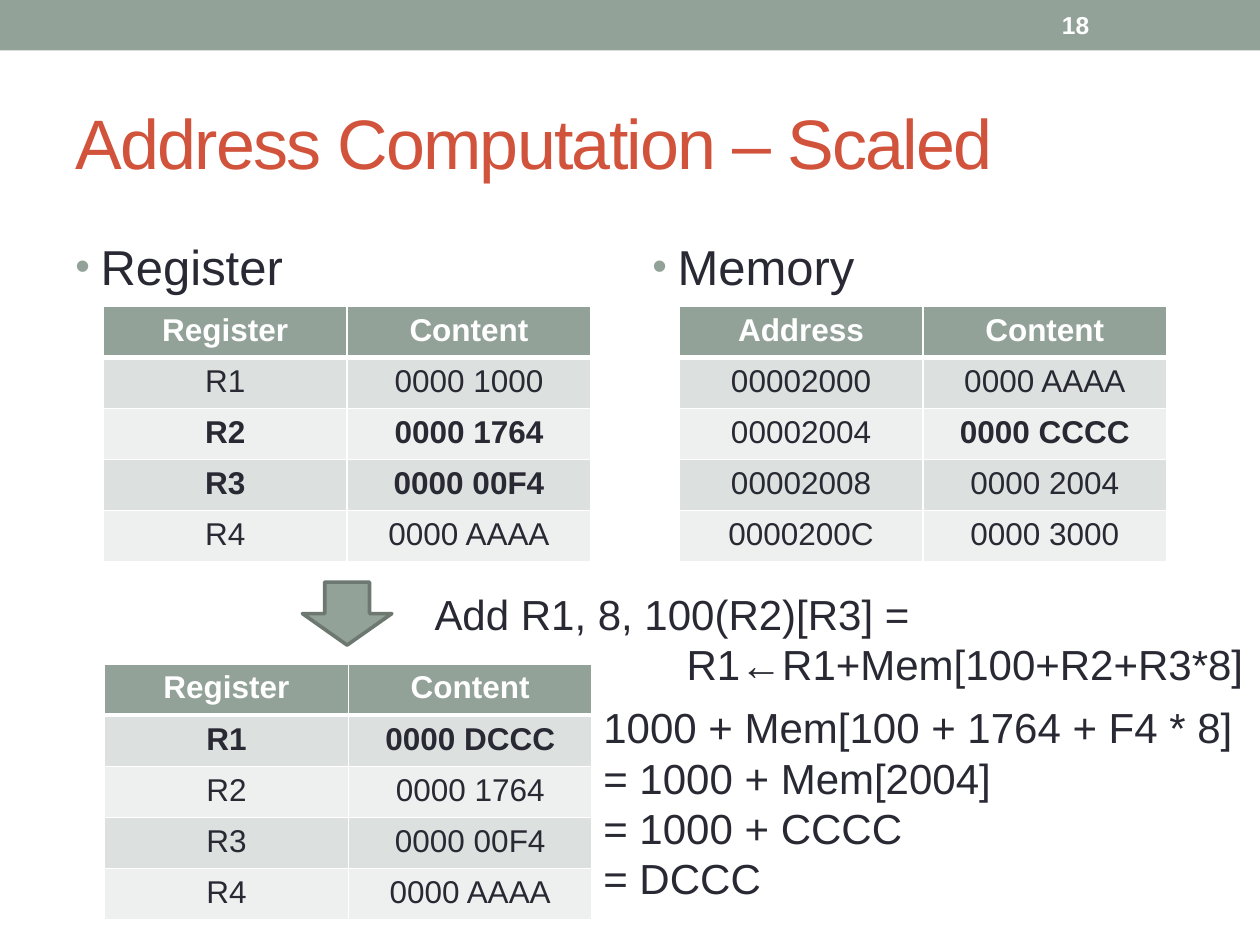
from dataclasses import dataclass

from lxml import etree
from pptx import Presentation
from pptx.dml.color import RGBColor
from pptx.enum.shapes import MSO_SHAPE
from pptx.enum.text import MSO_ANCHOR, PP_ALIGN
from pptx.oxml.ns import qn
from pptx.util import Inches, Pt

RECTANGLE, DOWN_ARROW = MSO_SHAPE.RECTANGLE, MSO_SHAPE.DOWN_ARROW
TOP, MIDDLE = MSO_ANCHOR.TOP, MSO_ANCHOR.MIDDLE
LEFT, CENTER = PP_ALIGN.LEFT, PP_ALIGN.CENTER


@dataclass(frozen=True)
class Theme:
    font: str = "Arial"
    ink: str = "292934"
    accent: str = "93A299"
    accent_dark: str = "6D7871"
    title: str = "D2533C"
    white: str = "FFFFFF"
    bands: tuple = ("DCE0DE", "EEF0EF")
    title_size: int = 40
    heading_size: int = 28
    body_size: int = 24
    table_size: int = 18
    number_size: int = 14


class SlideBuilder:
    """Draws styled elements on one slide."""

    def __init__(self, slide, theme):
        self.slide = slide
        self.theme = theme

    def add_run(self, paragraph, text, size, color=None, bold=False, align=LEFT):
        paragraph.alignment = align
        run = paragraph.add_run()
        run.text = text
        formats = {"name": self.theme.font, "size": Pt(size), "bold": bold}
        for name, value in formats.items():
            setattr(run.font, name, value)
        run.font.color.rgb = RGBColor.from_string(color or self.theme.ink)

    def text(self, box, lines, size, color=None, bold=False, anchor=TOP):
        shape = self.slide.shapes.add_textbox(*map(Inches, box))
        frame = shape.text_frame
        for name, value in {"word_wrap": True, "vertical_anchor": anchor}.items():
            setattr(frame, name, value)
        for index, line in enumerate(lines):
            paragraph = frame.add_paragraph() if index else frame.paragraphs[0]
            self.add_run(paragraph, line, size, color, bold)
        return frame.paragraphs

    def title(self, box, text):
        paragraph = self.text(box, [text], self.theme.title_size, self.theme.title, anchor=MIDDLE)[0]
        paragraph.runs[0]._r.get_or_add_rPr().set("spc", "-100")

    def bullet(self, box, text):
        paragraph = self.text(box, [text], self.theme.heading_size)[0]
        paragraph.space_before = Pt(self.theme.heading_size * 0.2)
        properties = paragraph._p.get_or_add_pPr()
        properties.set("marL", str(Inches(0.2)))
        properties.set("indent", str(-Inches(0.2)))
        color = etree.SubElement(properties, qn("a:buClr"))
        etree.SubElement(color, qn("a:srgbClr"), val=self.theme.accent)
        etree.SubElement(properties, qn("a:buSzPct"), val="85000")
        etree.SubElement(properties, qn("a:buFont"), typeface=self.theme.font)
        etree.SubElement(properties, qn("a:buChar"), char="•")

    def shape(self, kind, box, line=None):
        shape = self.slide.shapes.add_shape(kind, *map(Inches, box))
        shape.shadow.inherit = False
        shape.fill.solid()
        shape.fill.fore_color.rgb = RGBColor.from_string(self.theme.accent)
        if line:
            shape.line.color.rgb = RGBColor.from_string(line)
            shape.line.width = Pt(2.08)
        else:
            shape.line.fill.background()

    def borders(self, cell, row):
        properties = cell._tc.get_or_add_tcPr()
        widths = {"L": 1, "R": 1, "T": 3 if row == 1 else 1, "B": 3 if row == 0 else 1}
        for side, width in widths.items():
            line = etree.SubElement(properties, qn(f"a:ln{side}"), w=str(Pt(width)))
            fill = etree.SubElement(line, qn("a:solidFill"))
            etree.SubElement(fill, qn("a:srgbClr"), val=self.theme.white)

    def table(self, left, top, rows, bold_cells):
        box = map(Inches, (left, top, 3.87, 2.03))
        table = self.slide.shapes.add_table(len(rows), len(rows[0]), *box).table
        for row, values in enumerate(rows):
            header = row == 0
            fill = self.theme.accent if header else self.theme.bands[(row - 1) % 2]
            color = self.theme.white if header else self.theme.ink
            for column, value in enumerate(values):
                cell = table.cell(row, column)
                self.borders(cell, row)
                cell.fill.solid()
                cell.fill.fore_color.rgb = RGBColor.from_string(fill)
                bold = header or (row, column) in bold_cells
                self.add_run(cell.text_frame.paragraphs[0], value, self.theme.table_size, color, bold, CENTER)


def register_rows(first_value):
    return [("Register", "Content"), ("R1", first_value), ("R2", "0000 1764"),
            ("R3", "0000 00F4"), ("R4", "0000 AAAA")]


def main():
    presentation = Presentation()
    presentation.slide_width, presentation.slide_height = Inches(10), Inches(7.5)
    theme = Theme()
    builder = SlideBuilder(presentation.slides.add_slide(presentation.slide_layouts[6]), theme)

    builder.shape(RECTANGLE, (0, 0, 10, 0.4))
    builder.title((0.5, 0.58, 9, 1.08), "Address Computation – Scaled")
    for left, heading in ((0.5, "Register"), (5.08, "Memory")):
        builder.bullet((left, 1.83, 4.42, 5.16), heading)
    builder.text((8.33, 0.02, 1.17, 0.36), ["18"], theme.number_size, theme.white, True, MIDDLE)

    memory_rows = [("Address", "Content"), ("00002000", "0000 AAAA"), ("00002004", "0000 CCCC"),
                   ("00002008", "0000 2004"), ("0000200C", "0000 3000")]
    builder.table(5.39, 2.43, memory_rows, {(2, 1)})
    builder.table(0.83, 5.27, register_rows("0000 DCCC"), {(1, 0), (1, 1)})
    builder.table(0.82, 2.43, register_rows("0000 1000"), {(2, 0), (2, 1), (3, 0), (3, 1)})

    instruction = builder.text((3.35, 4.62, 6.65, 0.91),
                               ["Add R1, 8, 100(R2)[R3] =", "R1←R1+Mem[100+R2+R3*8]"], theme.body_size)
    instruction[1]._p.get_or_add_pPr().set("marL", str(Inches(2)))
    builder.shape(DOWN_ARROW, (2.4, 4.62, 0.71, 0.5), theme.accent_dark)
    builder.text((4.69, 5.52, 5.31, 1.72),
                 ["1000 + Mem[100 + 1764 + F4 * 8]", "= 1000 + Mem[2004]", "= 1000 + CCCC", "= DCCC"],
                 theme.body_size)
    presentation.save("out.pptx")


if __name__ == "__main__":
    main()
